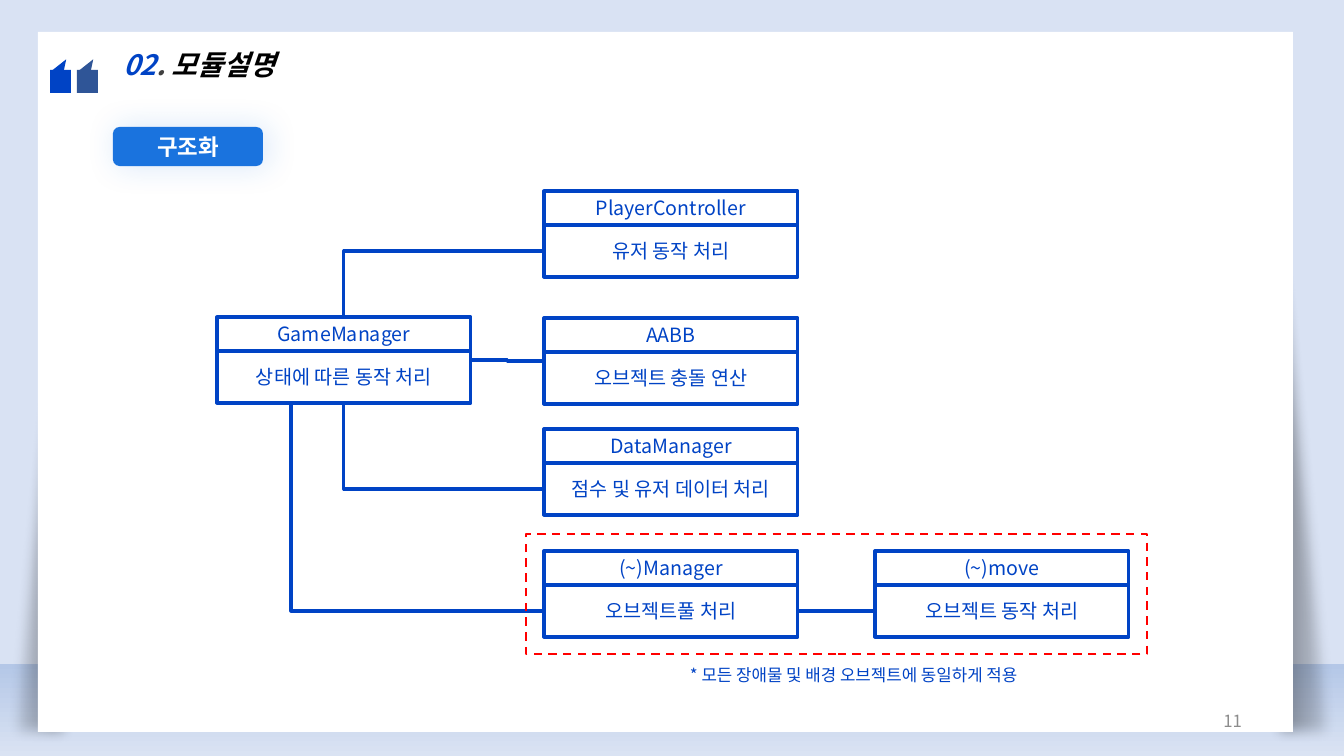
"""Build the module structure slide: a class diagram on a white page."""
from lxml import etree
from pptx import Presentation
from pptx.dml.color import RGBColor
from pptx.enum.dml import MSO_LINE
from pptx.enum.shapes import MSO_CONNECTOR as LINK, MSO_SHAPE as SHAPE
from pptx.enum.text import MSO_ANCHOR as ANCHOR, MSO_AUTO_SIZE as AUTO, PP_ALIGN as ALIGN
from pptx.oxml import parse_xml
from pptx.oxml.ns import nsdecls, qn
from pptx.util import Emu, Pt


class Theme:
    font = "Noto Sans CJK KR"
    backdrop, white, black = "D9E2F3", "FFFFFF", "000000"
    blue, navy, button = "0043C5", "2F5597", "1A73DE"
    dark, gray, red = "404040", "8C8C8C", "FF0000"
    band_top, band_bottom = "B4C7E7", "DAE3F3"
    title, badge, label, note = 20, 16, 14, 12
    border, dashed = 2.25, 1.5


PX = 914400 / 100.8
prs = Presentation()
prs.slide_width, prs.slide_height = Emu(12192000), Emu(6858000)
slide = prs.slides.add_slide(prs.slide_layouts[5])
shapes = slide.shapes


def block(kind, box, fill=None, line=None, weight=Theme.border):
    """Add a shape without shadow; box is left, top, width, height in px."""
    shape = shapes.add_shape(kind, *(Emu(round(n * PX)) for n in box))
    shape.shadow.inherit = False
    if fill:
        shape.fill.solid()
        shape.fill.fore_color.rgb = RGBColor.from_string(fill)
    else:
        shape.fill.background()
    if line:
        shape.line.color.rgb = RGBColor.from_string(line)
        shape.line.width = Pt(weight)
    else:
        shape.line.fill.background()
    return shape


def write(shape, parts, size, align=ALIGN.CENTER, anchor=ANCHOR.MIDDLE, bold=False, italic=False):
    """Fill a shape with one paragraph of (text, colour) parts."""
    frame = shape.text_frame
    frame.word_wrap, frame.auto_size, frame.vertical_anchor = True, AUTO.NONE, anchor
    paragraph = frame.paragraphs[0]
    paragraph.alignment = align
    for text, color in parts:
        run = paragraph.add_run()
        run.text = text
        font = run.font
        font.name, font.size, font.bold, font.italic = Theme.font, Pt(size), bold, italic
        font.color.rgb = RGBColor.from_string(color)
        etree.SubElement(run._r.get_or_add_rPr(), qn("a:ea"), typeface=Theme.font)


block(SHAPE.RECTANGLE, (0, 0, 1344, 756), Theme.backdrop)
band = block(SHAPE.RECTANGLE, (0, 664, 1344, 92), Theme.band_top)
left_shade = block(SHAPE.RIGHT_TRIANGLE, (0, 0, 75, 744), Theme.black)
right_shade = block(SHAPE.RIGHT_TRIANGLE, (1269, 0, 75, 744), Theme.black)
left_shade._element.spPr.xfrm.set("flipH", "1")

for shape, start, end, angle in (
    (band, (Theme.band_top, 100), (Theme.band_bottom, 100), 90),
    (left_shade, (Theme.black, 0), (Theme.black, 48), 180),
    (right_shade, (Theme.black, 0), (Theme.black, 48), 180),
):
    stops = "".join(
        f'<a:gs pos="{pos}"><a:srgbClr val="{color}"><a:alpha val="{alpha * 1000}"/></a:srgbClr></a:gs>'
        for pos, (color, alpha) in ((0, start), (100000, end))
    )
    gradient = parse_xml(
        f'<a:gradFill {nsdecls("a")} rotWithShape="1"><a:gsLst>{stops}</a:gsLst>'
        f'<a:lin ang="{angle * 60000}" scaled="0"/></a:gradFill>'
    )
    spPr = shape._element.spPr
    spPr.replace(spPr.find(qn("a:solidFill")), gradient)

for shade in (left_shade, right_shade):
    effects = shade._element.spPr.find(qn("a:effectLst"))
    etree.SubElement(effects, qn("a:softEdge"), rad=str(Pt(10)))

block(SHAPE.RECTANGLE, (38, 32, 1255, 700), Theme.white)

for left, color, pointer in ((50, Theme.blue, -0.23), (77, Theme.navy, -0.36)):
    mark = block(SHAPE.RECTANGULAR_CALLOUT, (left, 70, 21, 23), color)
    mark.adjustments[0], mark.adjustments[1] = -0.01, pointer
    block(SHAPE.ISOSCELES_TRIANGLE, (left + 5, 58, 13, 18), color).rotation = 31.9

title = shapes.title
title.left, title.top, title.width, title.height = (Emu(round(n * PX)) for n in (113, 42, 262, 44))
shapes._spTree.append(title._element)
write(title, (("02", Theme.blue), (". ", Theme.dark), ("모듈설명", Theme.black)),
      Theme.title, ALIGN.LEFT, ANCHOR.TOP, bold=True, italic=True)

badge = block(SHAPE.ROUNDED_RECTANGLE, (113, 127, 150, 39), Theme.button)
write(badge, (("구조화", Theme.white),), Theme.badge, bold=True)
badge._element.spPr.find(qn("a:effectLst")).append(parse_xml(
    f'<a:outerShdw {nsdecls("a")} blurRad="{Pt(23)}" dist="{Pt(3)}" dir="0" rotWithShape="0">'
    f'<a:srgbClr val="{Theme.button}"><a:alpha val="17000"/></a:srgbClr></a:outerShdw>'
))

BOX_WIDTH, BOX_HEIGHT, HEADER = 254, 86, 34
modules = {}
for name, role, left, top in (
    ("AABB", "오브젝트 충돌 연산", 544, 318),
    ("GameManager", "상태에 따른 동작 처리", 217, 317),
    ("DataManager", "점수 및 유저 데이터 처리", 544, 429),
    ("(~)Manager", "오브젝트풀 처리", 544, 551),
    ("PlayerController", "유저 동작 처리", 544, 191),
    ("(~)move", "오브젝트 동작 처리", 875, 551),
):
    outer = block(SHAPE.RECTANGLE, (left, top, BOX_WIDTH, BOX_HEIGHT), Theme.white, Theme.blue)
    write(outer, ((name, Theme.blue),), Theme.label, anchor=ANCHOR.TOP)
    body = block(SHAPE.RECTANGLE, (left, top + HEADER, BOX_WIDTH, BOX_HEIGHT - HEADER),
                 Theme.white, Theme.blue)
    write(body, ((role, Theme.blue),), Theme.label)
    modules[name] = outer, body

TOP, LEFT, BOTTOM, RIGHT = range(4)
game, game_body = modules["GameManager"]
pool_body = modules["(~)Manager"][1]
for source, target, site, preset in (
    (modules["AABB"][0], game, RIGHT, "bentConnector3"),
    (modules["PlayerController"][1], game, TOP, "bentConnector2"),
    (modules["DataManager"][1], game_body, BOTTOM, "bentConnector2"),
    (pool_body, None, None, "bentConnector2"),
    (modules["(~)move"][1], pool_body, RIGHT, "bentConnector3"),
):
    link = shapes.add_connector(LINK.ELBOW, 0, 0, Emu(round(291 * PX)), game.top + game.height)
    link.begin_connect(source, LEFT)
    if target is not None:
        link.end_connect(target, site)
    link.line.color.rgb = RGBColor.from_string(Theme.blue)
    link.line.width = Pt(Theme.border)
    link._element.spPr.find(qn("a:prstGeom")).set("prst", preset)
    etree.SubElement(link._element.spPr, qn("a:effectLst"))

group_frame = block(SHAPE.RECTANGLE, (526, 534, 621, 120), line=Theme.red, weight=Theme.dashed)
group_frame.line.dash_style = MSO_LINE.DASH

for text, box, color, align in (
    ("* 모든 장애물 및 배경 오브젝트에 동일하게 적용", (680, 659, 375, 31), Theme.blue, ALIGN.LEFT),
    ("11", (950, 701, 302, 40), Theme.gray, ALIGN.RIGHT),
):
    caption = shapes.add_textbox(*(Emu(round(n * PX)) for n in box))
    write(caption, ((text, color),), Theme.note, align)

prs.save("out.pptx")
